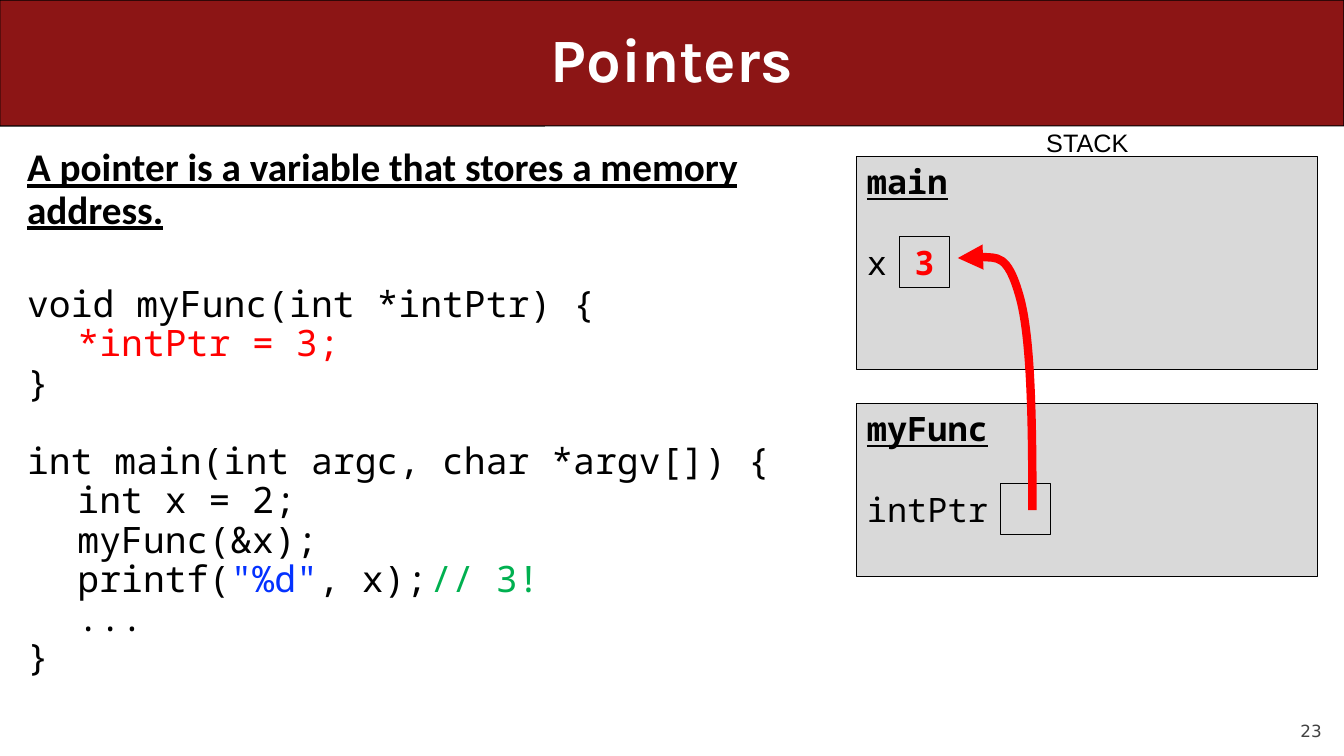
"""Build the slide on pointers with its code sample and stack diagram."""
from pptx import Presentation
from pptx.dml.color import RGBColor
from pptx.enum.shapes import MSO_SHAPE
from pptx.enum.text import MSO_ANCHOR, PP_ALIGN
from pptx.oxml.ns import qn
from pptx.util import Inches, Pt
from lxml import etree

RECT, ROUNDED = MSO_SHAPE.RECTANGLE, MSO_SHAPE.ROUNDED_RECTANGLE
LEFT, CENTER, RIGHT = PP_ALIGN.LEFT, PP_ALIGN.CENTER, PP_ALIGN.RIGHT
TOP, MIDDLE, BOTTOM = MSO_ANCHOR.TOP, MSO_ANCHOR.MIDDLE, MSO_ANCHOR.BOTTOM

THEME = {
    "banner": "8C1515", "white": "FFFFFF", "ink": "000000", "frame": "D9D9D9",
    "accent": "FF0000", "string": "0432FF", "comment": "00B050", "number": "424242",
    "title": {"font": "Karla", "size": 44, "bold": True},
    "heading": {"font": "Calibri", "size": 28, "bold": True, "underline": True},
    "code": {"font": "Noto Sans Mono", "size": 26},
    "memory": {"font": "Noto Sans Mono", "size": 24},
    "label": {"font": "Arial", "size": 18},
    "page": {"font": "DejaVu Sans", "size": 12},
}

TITLE = "Pointers"
DEFINITION = "A pointer is a variable that stores a memory address."
FUNCTIONS = [
    (38, [
        [("void myFunc(int *intPtr) {", "ink")],
        [("\t*intPtr = 3;", "accent")],
        [("}", "ink")],
    ]),
    (28, [
        [("int main(int argc, char *argv[]) {", "ink")],
        [("\tint x = 2;", "ink")],
        [("\tmyFunc(&x);", "ink")],
        [("\tprintf(", "ink"), ('"%d"', "string"), (", x);\t", "ink"), ("// 3!", "comment")],
        [("\t...", "ink")],
        [("}", "ink")],
    ]),
]
STACK_LABEL = "STACK"
STACK_FRAMES = [("main", "x", "3", 1.55, 2.12), ("myFunc", "intPtr", "", 4, 1.72)]
POINTER_CURVE = [(10.24, 5.06), (10.24, 4.2), (10.23, 3.34), (10.11, 2.93),
                 (9.99, 2.51), (9.74, 2.53), (9.5, 2.56)]
PAGE = "23"

FRAME_LEFT, FRAME_WIDTH = 8.5, 4.57
CELL, CELL_DROP, CELL_GAP, CHAR_WIDTH = 0.5, 0.8, 0.22, 0.2

deck = Presentation()
deck.slide_width, deck.slide_height = Inches(13.33), Inches(7.5)
slide = deck.slides.add_slide(deck.slide_layouts[6])


def color(name):
    return RGBColor.from_string(THEME[name])


def write(frame, pieces, *, font, size, bold=False, underline=False, align=LEFT, spacing=1.0, before=0):
    """Add one paragraph made of (text, colour name) pieces."""
    paragraph = frame.paragraphs[0]
    if paragraph.runs:
        paragraph = frame.add_paragraph()
    paragraph.alignment, paragraph.line_spacing = align, spacing
    paragraph.space_before = Pt(before)
    for text, tint in pieces:
        run = paragraph.add_run()
        run.text = text
        run.font.name, run.font.size = font, Pt(size)
        run.font.bold, run.font.underline = bold, underline
        run.font.color.rgb = color(tint)


def text_area(left, top, width, height, anchor=TOP, wrap=True):
    frame = slide.shapes.add_textbox(*map(Inches, (left, top, width, height))).text_frame
    frame.word_wrap, frame.vertical_anchor = wrap, anchor
    return frame


def block(left, top, width, height, fill=None, kind=RECT):
    shape = slide.shapes.add_shape(kind, *map(Inches, (left, top, width, height)))
    shape.shadow.inherit = False
    if fill:
        shape.fill.solid()
        shape.fill.fore_color.rgb = color(fill)
    else:
        shape.fill.background()
    shape.line.color.rgb, shape.line.width = color("ink"), Pt(0.75)
    shape.text_frame.vertical_anchor = TOP
    return shape


def curved_arrow(points, tint, width):
    """Draw cubic curves through points, with an arrowhead at the end."""
    (start_x, start_y), *rest = points
    builder = slide.shapes.build_freeform(Inches(start_x), Inches(start_y))
    builder.add_line_segments([(Inches(x), Inches(y)) for x, y in rest], close=False)
    arrow = builder.convert_to_shape()
    arrow.shadow.inherit = False
    arrow.fill.background()
    arrow.line.color.rgb, arrow.line.width = color(tint), Pt(width)
    segments = list(arrow.element.iter(qn("a:lnTo")))
    for first in range(0, len(segments), 3):
        curve = etree.Element(qn("a:cubicBezTo"))
        segments[first].addprevious(curve)
        for segment in segments[first:first + 3]:
            curve.append(segment[0])
            segment.getparent().remove(segment)
    outline = arrow.element.spPr.find(qn("a:ln"))
    etree.SubElement(outline, qn("a:tailEnd"), type="triangle")


page = text_area(12, 6.95, 1.11, 0.4, BOTTOM)
page.margin_left = page.margin_right = page.margin_top = page.margin_bottom = 0
write(page, [(PAGE, "number")], align=RIGHT, **THEME["page"])

banner = block(0, 0, 13.33, 1.25, "banner", ROUNDED)
banner.adjustments[0] = 0.001
title = text_area(0.5, 0, 12.33, 1.25, MIDDLE)
write(title, [(TITLE, "white")], align=CENTER, spacing=0.9, **THEME["title"])

body = text_area(0.17, 1.42, 7.62, 5.92)
write(body, [(DEFINITION, "ink")], spacing=0.9, **THEME["heading"])
for gap, lines in FUNCTIONS:
    for index, line in enumerate(lines):
        write(body, line, spacing=0.9, before=0 if index else gap, **THEME["code"])

for function, variable, value, top, height in STACK_FRAMES:
    memory = block(FRAME_LEFT, top, FRAME_WIDTH, height, "frame").text_frame
    write(memory, [(function, "ink")], bold=True, underline=True, **THEME["memory"])
    write(memory, [(variable, "ink")], before=29, **THEME["memory"])
    cell_left = FRAME_LEFT + CELL_GAP + CHAR_WIDTH * len(variable)
    cell = block(cell_left, top + CELL_DROP, CELL, CELL)
    if value:
        write(cell.text_frame, [(value, "accent")], bold=True, align=CENTER, **THEME["memory"])

curved_arrow(POINTER_CURVE, "accent", 6)
stack = text_area(10.27, 1.21, 1.02, 0.4, wrap=False)
write(stack, [(STACK_LABEL, "ink")], align=RIGHT, **THEME["label"])

deck.save("out.pptx")
